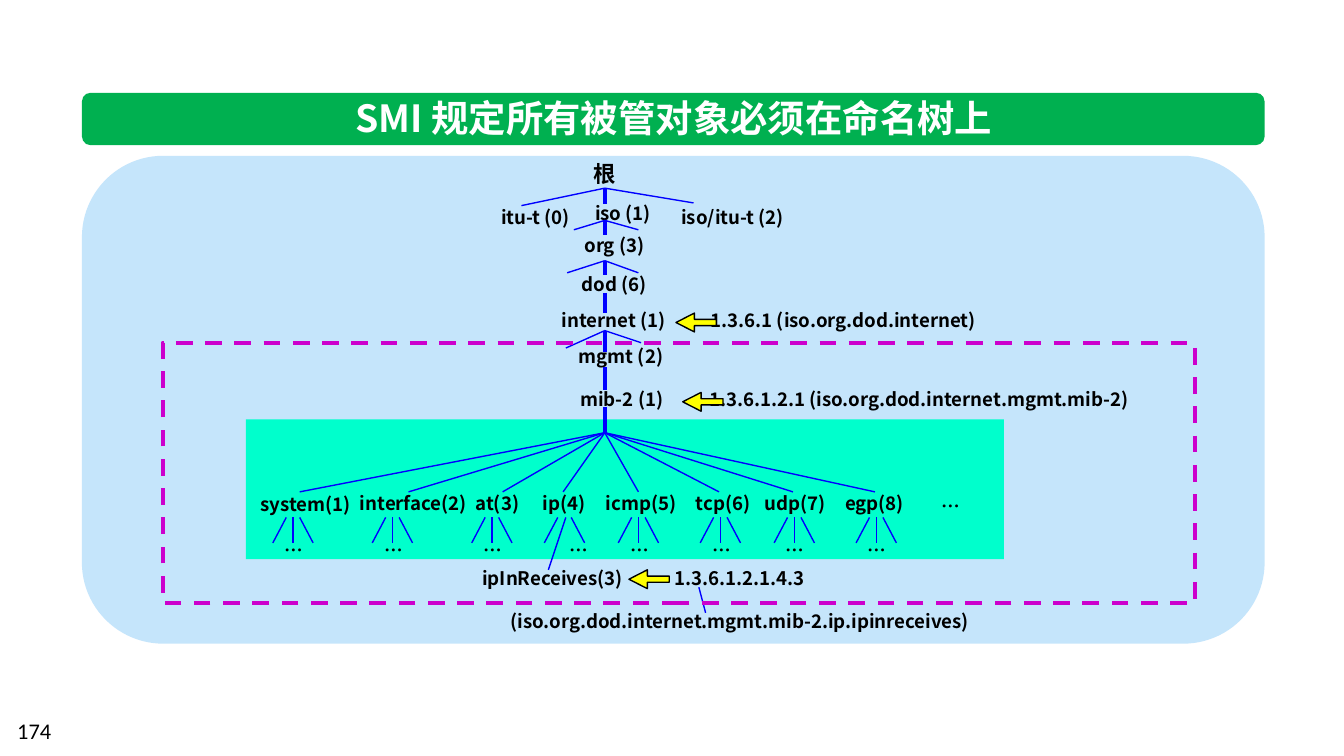
"""Build the slide that shows the SMI object naming tree."""
from dataclasses import dataclass

from lxml.etree import SubElement
from pptx import Presentation
from pptx.dml.color import RGBColor
from pptx.enum.dml import MSO_LINE
from pptx.enum.shapes import MSO_CONNECTOR, MSO_SHAPE
from pptx.enum.text import MSO_AUTO_SIZE, PP_ALIGN
from pptx.oxml.ns import qn
from pptx.util import Inches, Pt


@dataclass(frozen=True)
class Theme:
    panel: RGBColor = RGBColor.from_string("C5E5FB")
    banner: RGBColor = RGBColor.from_string("00B050")
    group: RGBColor = RGBColor.from_string("00FFCC")
    branch: RGBColor = RGBColor.from_string("0000FF")
    pointer: RGBColor = RGBColor.from_string("FFFF00")
    frame: RGBColor = RGBColor.from_string("CC00CC")
    ink: RGBColor = RGBColor.from_string("000000")
    white: RGBColor = RGBColor.from_string("FFFFFF")
    tree_font: str = "Noto Sans CJK SC"
    number_font: str = "Calibri"
    title_size: Pt = Pt(20)
    root_size: Pt = Pt(12)
    label_size: Pt = Pt(10)
    thin: Pt = Pt(0.75)
    thick: Pt = Pt(2.25)


theme = Theme()
deck = Presentation()
deck.slide_width, deck.slide_height = Inches(10), Inches(10 * 9 / 16)
page = deck.slides.add_slide(deck.slide_layouts[6])


def add_text(words, left, top, width, height=0.27, tab=None, wrap=False, align=PP_ALIGN.LEFT, **changes):
    box = page.shapes.add_textbox(Inches(left), Inches(top), Inches(width), Inches(height))
    frame_format = {"word_wrap": wrap, "auto_size": MSO_AUTO_SIZE.NONE if wrap else MSO_AUTO_SIZE.SHAPE_TO_FIT_TEXT}
    for name, value in frame_format.items():
        setattr(box.text_frame, name, value)
    para = box.text_frame.paragraphs[0]
    para.alignment = align
    if tab:
        tab_list = SubElement(para._p.get_or_add_pPr(), qn("a:tabLst"))
        SubElement(tab_list, qn("a:tab"), pos=str(Inches(tab)), algn="l")
    span = para.add_run()
    span.text = words
    font_format = {"name": theme.tree_font, "size": theme.label_size, "bold": True} | changes
    span.font.color.rgb = font_format.pop("color", theme.ink)
    for name, value in font_format.items():
        setattr(span.font, name, value)
    SubElement(span.font._element, qn("a:ea")).set("typeface", font_format["name"])


def add_branch(start_x, start_y, end_x, end_y, width=theme.thin):
    branch = page.shapes.add_connector(
        MSO_CONNECTOR.STRAIGHT, Inches(start_x), Inches(start_y), Inches(end_x), Inches(end_y))
    branch.line.color.rgb = theme.branch
    branch.line.width = width
    SubElement(branch._element.spPr, qn("a:effectLst"))


backgrounds = [
    (MSO_SHAPE.ROUNDED_RECTANGLE, 0.61, 1.16, 8.8, 3.63, theme.panel),
    (MSO_SHAPE.ROUNDED_RECTANGLE, 0.61, 0.69, 8.8, 0.39, theme.banner),
    (MSO_SHAPE.RECTANGLE, 1.83, 3.12, 5.64, 1.04, theme.group),
]
for kind, left, top, width, height, color in backgrounds:
    background = page.shapes.add_shape(kind, Inches(left), Inches(top), Inches(width), Inches(height))
    background.shadow.inherit = False
    background.fill.solid()
    background.fill.fore_color.rgb = color
    background.line.fill.background()

add_text("SMI 规定所有被管对象必须在命名树上", 2.45, 0.66, 5.13, 0.44,
         align=PP_ALIGN.CENTER, size=theme.title_size, color=theme.white)
add_text("根", 4.32, 1.14, 0.37, 0.3, size=theme.root_size)

labels = [
    ("iso (1)", 4.33, 1.45, 0.64),
    ("itu-t (0)", 3.63, 1.48, 0.75),
    ("iso/itu-t (2)", 4.97, 1.48, 1.02),
    ("org (3)", 4.25, 1.69, 0.68),
    ("dod (6)", 4.23, 1.98, 0.72),
    ("mgmt (2)", 4.21, 2.52, 0.87),
    ("…", 6.91, 3.63, 0.34),
    ("ipInReceives(3)", 3.49, 4.17, 1.32),
    ("1.3.6.1.2.1.4.3", 4.92, 4.17, 1.17),
    ("(iso.org.dod.internet.mgmt.mib-2.ip.ipinreceives)", 3.7, 4.49, 3.71),
]
for label in labels:
    add_text(*label)

add_text("internet (1)\t1.3.6.1 (iso.org.dod.internet)", 4.08, 2.25, 3.49, tab=1.11)
add_text("mib-2 (1)\t1.3.6.1.2.1 (iso.org.dod.internet.mgmt.mib-2)", 4.22, 2.84, 4.53, tab=0.96)

trunk = 4.5
for top, bottom in [(1.4, 1.52), (1.64, 1.75), (1.94, 2.05), (2.18, 2.33),
                    (2.46, 2.62), (2.73, 2.9), (3.03, 3.22)]:
    add_branch(trunk, top, trunk, bottom, theme.thick)

forks = [
    (1.4, 3.88, 1.53), (1.4, 5.16, 1.51),
    (1.64, 4.27, 1.71), (1.64, 4.75, 1.71),
    (1.94, 4.22, 2.03), (1.94, 4.75, 2.03),
    (2.46, 4.21, 2.59), (2.46, 4.77, 2.55),
]
for top, end_x, end_y in forks:
    add_branch(trunk, top, end_x, end_y)

groups = [
    ("system(1)", 1.84, 3.62, 0.89, 2.23, 2.18),
    ("interface(2)", 2.58, 3.61, 1.02, 3.04, 2.92),
    ("at(3)", 3.44, 3.61, 0.54, 3.74, 3.66),
    ("ip(4)", 3.94, 3.61, 0.53, 4.19, 4.2),
    ("icmp(5)", 4.41, 3.61, 0.74, 4.75, 4.75),
    ("tcp(6)", 5.08, 3.61, 0.62, 5.35, 5.36),
    ("udp(7)", 5.59, 3.61, 0.67, 5.9, 5.91),
    ("egp(8)", 6.19, 3.61, 0.66, 6.51, 6.52),
]
for name, left, top, width, branch_end, center in groups:
    is_ip = name == "ip(4)"
    add_text(name, left, top, width)
    add_text("…", center - (0.06 if is_ip else 0.16), 3.96, 0.34)
    add_branch(trunk, 3.22, branch_end, 3.66)
    for side in (-1, 1) if is_ip else (-1, 0, 1):
        add_branch(center + side * 0.05, 3.85, center + side * 0.15, 4.04)

add_branch(4.21, 3.85, 4.08, 4.24)
add_branch(5.25, 4.56, 5.2, 4.37)

for left, top in [(5.03, 2.33), (5.08, 2.92), (4.68, 4.24)]:
    pointer = page.shapes.add_shape(MSO_SHAPE.LEFT_ARROW, Inches(left), Inches(top), Inches(0.3), Inches(0.14))
    pointer.shadow.inherit = False
    pointer.adjustments[0], pointer.adjustments[1] = 0.33, 0.98
    pointer.fill.solid()
    pointer.fill.fore_color.rgb = theme.pointer
    pointer.line.color.rgb = theme.ink
    pointer.line.width = theme.thin

frame = page.shapes.add_shape(MSO_SHAPE.RECTANGLE, Inches(1.21), Inches(2.55), Inches(7.68), Inches(1.94))
frame.shadow.inherit = False
frame.fill.background()
frame.line.color.rgb = theme.frame
for name, value in {"width": theme.thick, "dash_style": MSO_LINE.DASH}.items():
    setattr(frame.line, name, value)

add_text("174", 0.03, 5.29, 2.33, 0.3, wrap=True, name=theme.number_font, size=theme.root_size, bold=False)

deck.save("out.pptx")
